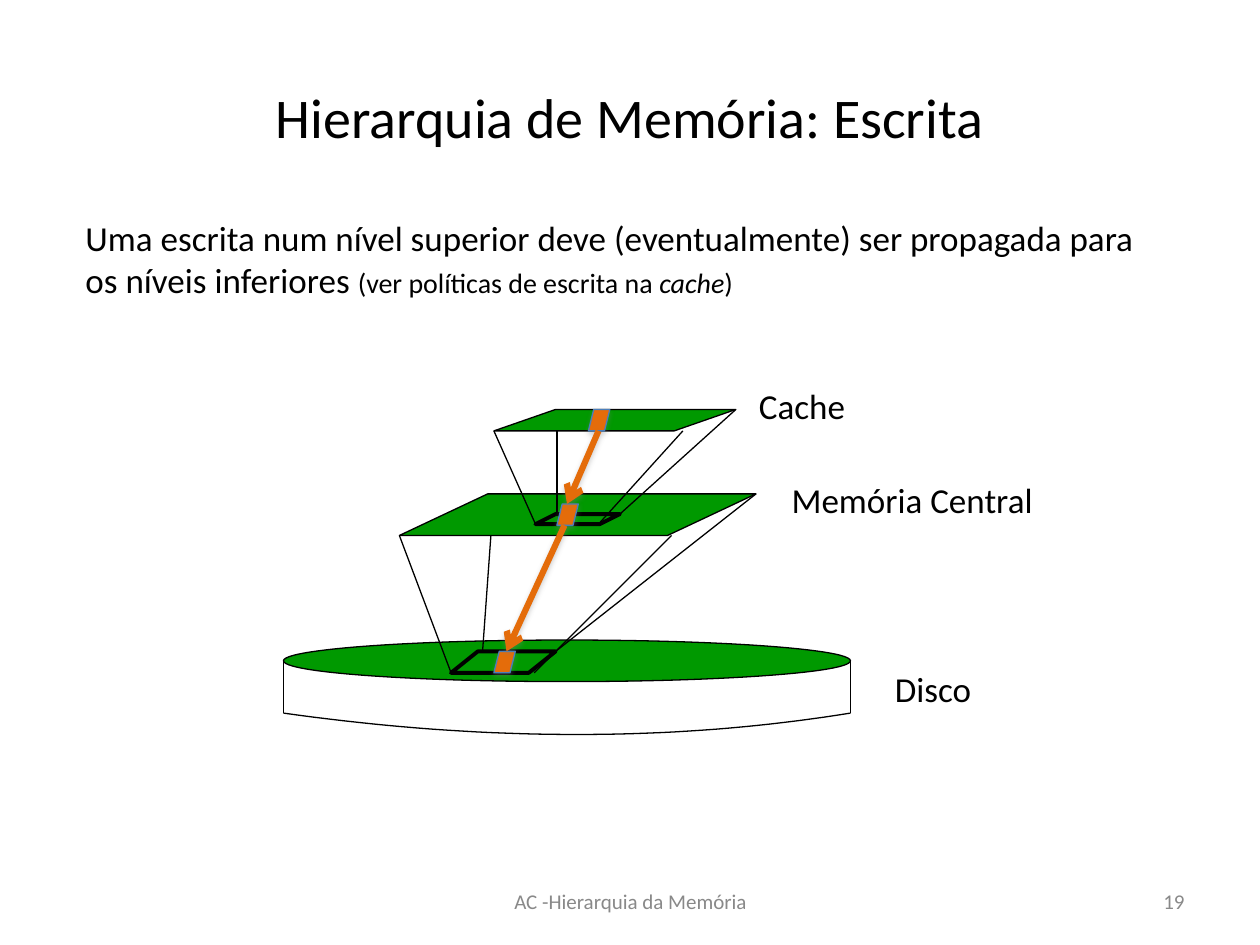
from typing import NamedTuple

from lxml import etree
from pptx import Presentation
from pptx.dml.color import RGBColor
from pptx.enum.shapes import MSO_CONNECTOR, MSO_SHAPE
from pptx.enum.text import MSO_ANCHOR, PP_ALIGN
from pptx.oxml import parse_xml
from pptx.oxml.ns import nsdecls, qn
from pptx.util import Inches, Pt

BLACK = RGBColor(0x00, 0x00, 0x00)
GREEN = RGBColor(0x00, 0x99, 0x00)
ORANGE = RGBColor(0xE4, 0x6C, 0x0A)
BLUE = RGBColor(0x4A, 0x7E, 0xBB)
GREY = RGBColor(0x89, 0x89, 0x89)
FONT = "Calibri"


class Box(NamedTuple):
    """A rectangle in inches."""
    left: float
    top: float
    width: float
    height: float

    @property
    def right(self):
        return self.left + self.width

    @property
    def bottom(self):
        return self.top + self.height

    def inner(self, x, y, width, height):
        return Box(self.left + x, self.top + y, width, height)

    def point(self, x, y):
        return self.left + x, self.top + y

    def emu(self):
        return [Inches(v) for v in self]


def style_font(font, size, color=BLACK):
    font.name, font.size = FONT, Pt(size)
    font.color.rgb = color


def add_text(slide, box, runs, size, color=BLACK, align=PP_ALIGN.LEFT,
             anchor=MSO_ANCHOR.TOP, wrap=True):
    """Add one paragraph; runs are (text, size or None, italic)."""
    tf = slide.shapes.add_textbox(*box.emu()).text_frame
    tf.word_wrap, tf.vertical_anchor = wrap, anchor
    p = tf.paragraphs[0]
    p.alignment = align
    for text, run_size, italic in runs:
        r = p.add_run()
        r.text = text
        style_font(r.font, run_size or size, color)
        if italic:
            r.font.italic = True


def add_shadow(shape, alpha):
    effects = shape._element.spPr.find(qn("a:effectLst"))
    effects.append(parse_xml(
        f'<a:outerShdw {nsdecls("a")} blurRad="{Pt(3.1)}" dist="{Pt(1.7)}" '
        f'dir="5400000" rotWithShape="0"><a:srgbClr val="808080">'
        f'<a:alpha val="{alpha * 1000}"/></a:srgbClr></a:outerShdw>'))


def add_solid(slide, kind, box, fill=GREEN, line=BLACK, width=0.75, skew=None):
    s = slide.shapes.add_shape(kind, *box.emu())
    s.shadow.inherit = False
    s.fill.solid()
    s.fill.fore_color.rgb = fill
    s.line.color.rgb, s.line.width = line, Pt(width)
    if skew is not None:
        s.adjustments[0] = skew
    return s


def add_line(slide, start, end, color=BLACK, width=0.75):
    s = slide.shapes.add_connector(
        MSO_CONNECTOR.STRAIGHT, *[Inches(v) for v in (*start, *end)])
    s.line.color.rgb, s.line.width = color, Pt(width)
    etree.SubElement(s._element.spPr, qn("a:effectLst"))
    return s


def add_write_arrow(slide, start, end):
    s = add_line(slide, start, end, ORANGE, 3.5)
    etree.SubElement(s.line._get_or_add_ln(), qn("a:tailEnd"), type="arrow")
    add_shadow(s, 38)


def add_disk(slide, box):
    rim = 0.33
    add_solid(slide, MSO_SHAPE.OVAL, box.inner(0, 0, box.width, rim))
    side_top, side_bottom = box.top + rim / 2, box.bottom - 0.17
    for x in (box.left, box.right):
        add_line(slide, (x, side_top), (x, side_bottom))

    # The base follows a shallow arc, low point slightly right of centre.
    steps, points = 40, []
    for i in range(steps + 1):
        t = i / steps
        x = box.left + box.width * (t + 0.07 * t * (1 - t))
        y = side_bottom + 0.68 * t * (1 - t)
        points.append((Inches(x), Inches(y)))
    builder = slide.shapes.build_freeform(*points[0])
    builder.add_line_segments(points[1:], close=False)
    s = builder.convert_to_shape()
    s.shadow.inherit = False
    s.fill.background()
    s.line.color.rgb, s.line.width = BLACK, Pt(0.75)


def add_level(slide, plate, plate_skew, plate_insets,
              block, block_skew, block_insets):
    """Draw a memory plate projected onto its block in the level below.

    Insets are those of the back-left and front-right corners.
    """
    add_solid(slide, MSO_SHAPE.PARALLELOGRAM, block, width=2.25, skew=block_skew)

    def corners(box, insets):
        back, front = insets
        return ((box.left, box.bottom), (box.left + back, box.top),
                (box.right, box.top), (box.right - front, box.bottom))

    for start, end in zip(corners(plate, plate_insets),
                          corners(block, block_insets)):
        add_line(slide, start, end)
    add_solid(slide, MSO_SHAPE.PARALLELOGRAM, plate, skew=plate_skew)


def add_hierarchy(slide, box):
    add_disk(slide, box.inner(0, 1.83, 4.5, 0.75))
    add_level(slide, box.inner(0.92, 0.67, 2.83, 0.33), 2.125, (0.75, 0.67),
              box.inner(1.33, 1.92, 0.83, 0.17), 1.25, (0.25, 0.17))
    add_level(slide, box.inner(1.67, 0, 1.92, 0.17), 2.875, (0.5, 0.42),
              box.inner(2, 0.83, 0.67, 0.08), 2, (0.17, 0.17))

    for name, x, y, width in (("Disco", 4.75, 2, 0.81),
                              ("Memória Central", 3.92, 0.5, 2.14),
                              ("Cache", 3.67, -0.25, 0.89)):
        add_text(slide, box.inner(x, y, width, 0.44), [(name, None, False)],
                 20, align=PP_ALIGN.CENTER, wrap=False)

    for x, y in ((2.42, 0), (2.17, 0.75), (1.67, 1.92)):
        cell = add_solid(slide, MSO_SHAPE.PARALLELOGRAM,
                         box.inner(x, y, 0.17, 0.17), ORANGE, BLUE, skew=0.25)
        add_shadow(cell, 35)
    add_write_arrow(slide, box.point(2.5, 0.17), box.point(2.25, 0.75))
    add_write_arrow(slide, box.point(2.23, 0.92), box.point(1.77, 1.92))


def add_title(slide, box):
    s = slide.shapes.title
    s.left, s.top, s.width, s.height = box.emu()
    s.text_frame.text = "Hierarquia de Memória: Escrita"
    s.text_frame.vertical_anchor = MSO_ANCHOR.MIDDLE
    p = s.text_frame.paragraphs[0]
    p.alignment = PP_ALIGN.CENTER
    style_font(p.runs[0].font, 32)


def add_footer(slide, box):
    for text, x, width, align in (
            ("AC -Hierarquia da Memória", 2.92, 3.17, PP_ALIGN.CENTER),
            ("19", 6.67, 2.33, PP_ALIGN.RIGHT)):
        add_text(slide, box.inner(x, 0, width, box.height),
                 [(text, None, False)], 12, GREY, align, MSO_ANCHOR.MIDDLE)


def main():
    prs = Presentation()
    prs.slide_width, prs.slide_height = Inches(10), Inches(7.5)
    slide = prs.slides.add_slide(prs.slide_layouts[5])
    add_title(slide, Box(0.5, 0.3, 9, 1.25))
    add_footer(slide, Box(0.5, 6.95, 9, 0.4))
    add_text(slide, Box(0.58, 1.67, 8.8, 0.77), [
        ("Uma escrita num nível superior deve (eventualmente) ser propagada "
         "para os níveis inferiores ", None, False),
        ("(ver políticas de escrita na ", 16, False),
        ("cache", 16, True),
        (")", 16, False)], 20)
    add_hierarchy(slide, Box(2.25, 3.25, 4.5, 2.58))
    prs.save("out.pptx")


if __name__ == "__main__":
    main()
